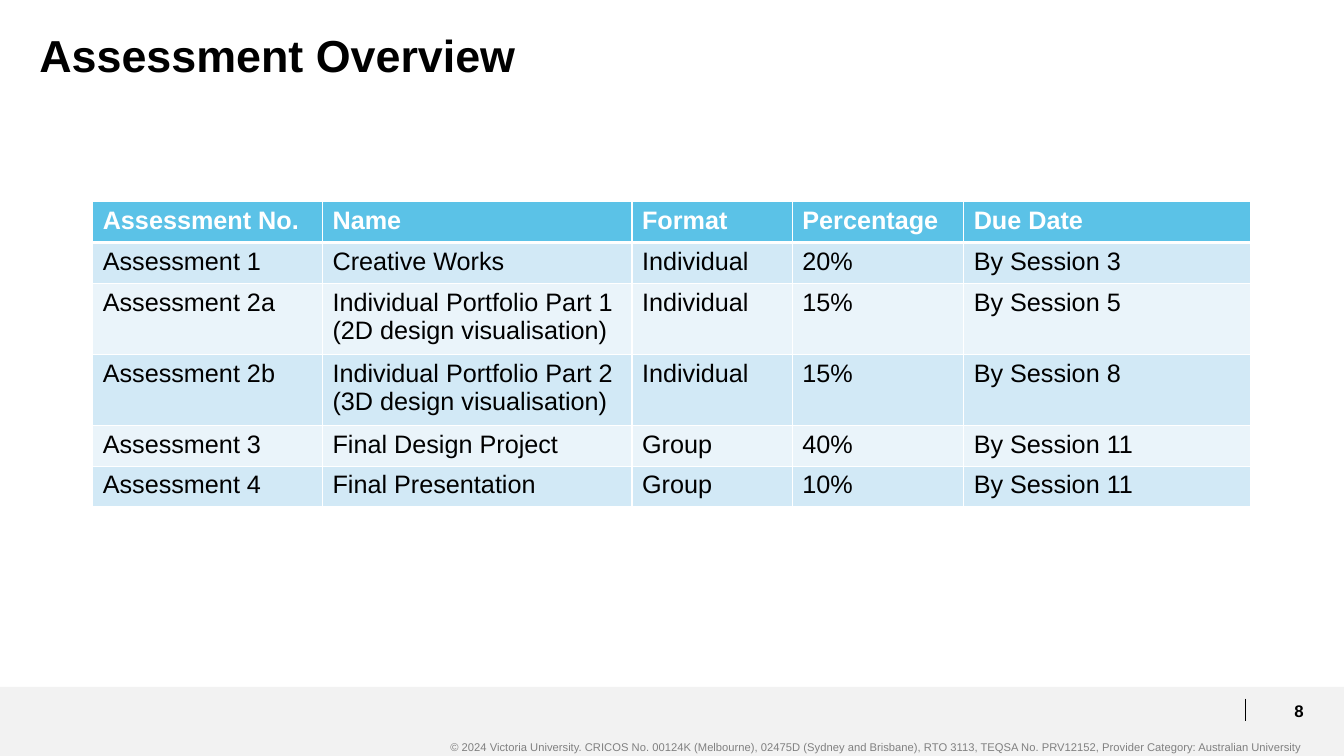
from lxml import etree
from pptx import Presentation
from pptx import util as u
from pptx.dml.color import RGBColor
from pptx.enum import shapes, text
from pptx.oxml import ns

COLORS = {
    "ink": "000000", "paper": "FFFFFF", "footer": "F2F2F2", "credit": "808080",
    "header": "5BC2E7", "odd": "D2E9F6", "even": "EAF4FA",
}
ASSESSMENTS = [
    ["Assessment No.", "Name", "Format", "Percentage", "Due Date"],
    ["Assessment 1", "Creative Works", "Individual", "20%", "By Session 3"],
    ["Assessment 2a", "Individual Portfolio Part 1 (2D design visualisation)",
     "Individual", "15%", "By Session 5"],
    ["Assessment 2b", "Individual Portfolio Part 2 (3D design visualisation)",
     "Individual", "15%", "By Session 8"],
    ["Assessment 3", "Final Design Project", "Group", "40%", "By Session 11"],
    ["Assessment 4", "Final Presentation", "Group", "10%", "By Session 11"],
]
# Widths and heights are percentages of the slide's width and height.
COLUMN_WIDTHS = [17.1, 23.03, 11.93, 12.75, 21.38]
ROW_HEIGHTS = [5.4, 5.4, 9.4, 9.4, 5.4, 5.4]

deck = Presentation()
deck.slide_width, deck.slide_height = u.Inches(13.33), u.Inches(7.5)
slide = deck.slides.add_slide(deck.slide_layouts[6])


def share(left, top, width, height):
    """Turn percentages of the slide's size into lengths."""
    across, down = deck.slide_width / 100, deck.slide_height / 100
    return [round(n) for n in (left * across, top * down, width * across, height * down)]


def write(frame, wording, size, color="ink", bold=False, align=None,
          anchor=None, insets=None, spacing=None):
    frame.word_wrap = True
    if anchor is not None:
        frame.vertical_anchor = anchor
    if insets is not None:
        (frame.margin_left, frame.margin_top,
         frame.margin_right, frame.margin_bottom) = map(u.Inches, insets)
    paragraph = frame.paragraphs[0]
    paragraph.alignment = align
    paragraph.line_spacing = spacing
    run = paragraph.add_run()
    run.text = wording
    run.font.name, run.font.size, run.font.bold = "Arial", u.Pt(size), bold
    run.font.color.rgb = RGBColor.from_string(COLORS[color])


# Footer
footer = slide.shapes.add_shape(
    shapes.MSO_SHAPE.RECTANGLE, *share(0, 90.87, 100, 9.13))
footer.shadow.inherit = False
footer.fill.solid()
footer.fill.fore_color.rgb = RGBColor.from_string(COLORS["footer"])
footer.line.fill.background()

page_number = slide.shapes.add_textbox(*share(93.55, 92.4, 3.45, 3.33))
write(page_number.text_frame, "8", 12, bold=True, align=text.PP_ALIGN.RIGHT,
      anchor=text.MSO_ANCHOR.MIDDLE, insets=(0, 0, 0, 0))

left, top, _, height = share(92.7, 92.4, 0, 2.93)
divider = slide.shapes.add_connector(
    shapes.MSO_CONNECTOR.STRAIGHT, left, top, left, top + height)
divider.line.width = u.Pt(0.75)
divider.line.color.rgb = RGBColor.from_string(COLORS["ink"])
etree.SubElement(divider._element.spPr, ns.qn("a:effectLst"))

copyright_line = slide.shapes.add_textbox(*share(27.38, 97.87, 69.54, 2.13))
write(copyright_line.text_frame,
      "© 2024 Victoria University. CRICOS No. 00124K (Melbourne), 02475D (Sydney and "
      "Brisbane), RTO 3113, TEQSA No. PRV12152, Provider Category: Australian University",
      8, color="credit", align=text.PP_ALIGN.RIGHT, insets=(0, 0, 0, 0.04))

# Title
title = slide.shapes.add_textbox(*share(2.93, 4.53, 70.07, 6.4))
write(title.text_frame, "Assessment Overview", 32, bold=True,
      insets=(0, 0, 0, 0), spacing=0.9)

# Assessment table
schedule = slide.shapes.add_table(
    len(ROW_HEIGHTS), len(COLUMN_WIDTHS),
    *share(6.9, 26.67, sum(COLUMN_WIDTHS), sum(ROW_HEIGHTS))).table
for column, width in zip(schedule.columns, COLUMN_WIDTHS):
    column.width = share(0, 0, width, 0)[2]

for r, (entries, row_height) in enumerate(zip(ASSESSMENTS, ROW_HEIGHTS)):
    schedule.rows[r].height = share(0, 0, 0, row_height)[3]
    is_header = r == 0
    band = "header" if is_header else "odd" if r % 2 else "even"
    edges = {"lnL": 1, "lnR": 1, "lnT": 3 if r == 1 else 1, "lnB": 3 if is_header else 1}
    for c, entry in enumerate(entries):
        cell = schedule.cell(r, c)
        write(cell.text_frame, entry, 18, color="paper" if is_header else "ink",
              bold=is_header)
        properties = cell._tc.get_or_add_tcPr()
        for edge, points in edges.items():
            border = etree.SubElement(properties, ns.qn(f"a:{edge}"), w=str(u.Pt(points)))
            paint = etree.SubElement(border, ns.qn("a:solidFill"))
            etree.SubElement(paint, ns.qn("a:srgbClr"), val=COLORS["paper"])
        cell.fill.solid()
        cell.fill.fore_color.rgb = RGBColor.from_string(COLORS[band])

deck.save("out.pptx")
